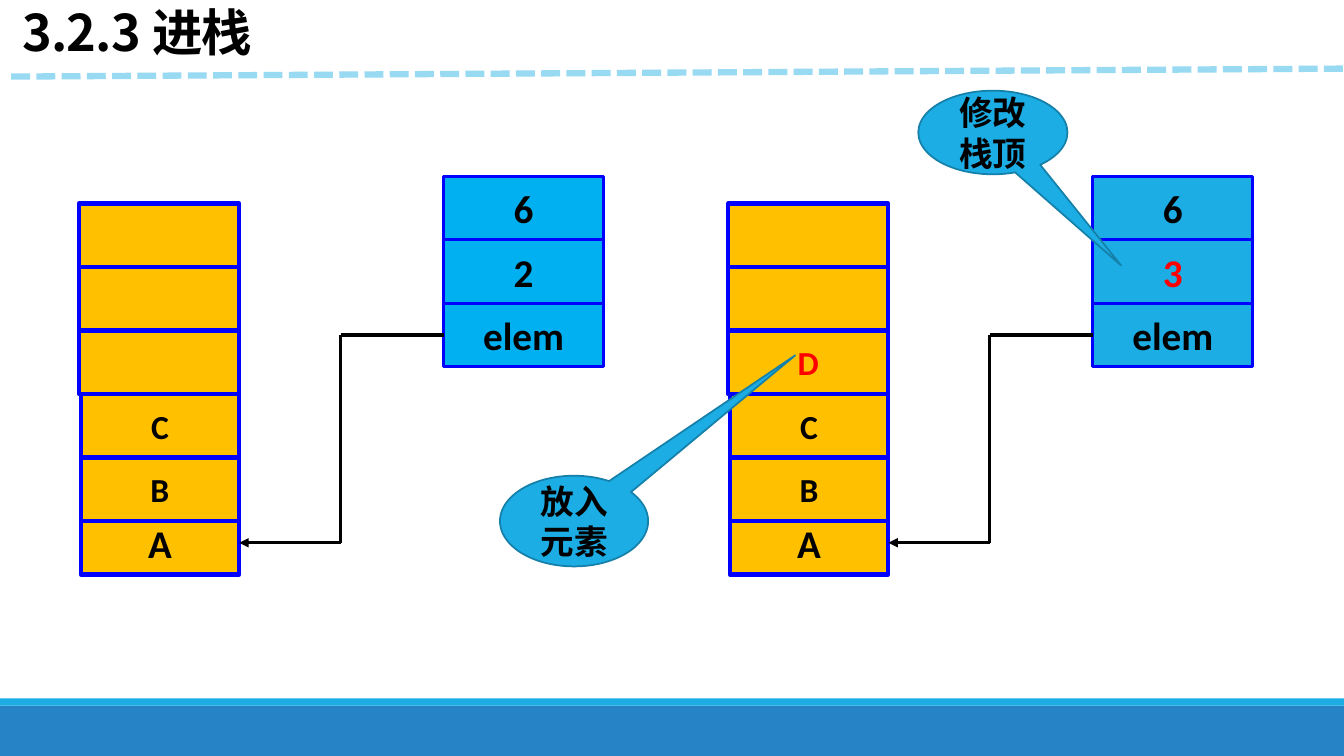
from lxml import etree
from pptx import Presentation
from pptx import util as u
from pptx.dml.color import RGBColor
from pptx.enum import dml, shapes, text
from pptx.oxml.ns import qn

COLORS = {
    "footer": "2683C6", "accent": "1CADE4", "dash": "99DAF3",
    "stack": "FFC000", "record": "00B0F0", "border": "0000FF",
    "callout_line": "1580A9", "ink": "000000", "changed": "FF0000",
}
COLUMNS, ROWS = 160, 90
CELL_WIDTH, CELL_HEIGHT = 19.08, 7.56


class StackPage:
    """Holds the style and the slide; lengths are grid columns and rows."""

    def __init__(self, deck):
        self.page = deck.slides.add_slide(deck.slide_layouts[6])
        self.column = deck.slide_width / COLUMNS
        self.row = deck.slide_height / ROWS

    def place(self, x, y):
        return round(x * self.column), round(y * self.row)

    def color(self, name):
        return RGBColor.from_string(COLORS[name])

    def label(self, box, lines, size, color="ink", font="Calibri",
              align=text.PP_ALIGN.CENTER):
        frame = box.text_frame
        frame.word_wrap = True
        frame.vertical_anchor = text.MSO_ANCHOR.MIDDLE
        frame.text = "\n".join(lines)
        for para in frame.paragraphs:
            para.alignment = align
            para.font.size = u.Pt(size)
            para.font.bold = True
            para.font.color.rgb = self.color(color)
            para.font.name = font
            props = para._p.pPr.find(qn("a:defRPr"))
            etree.SubElement(props, qn("a:ea")).set("typeface", font)
        return frame

    def title(self, words, x, y, width, height):
        box = self.page.shapes.add_textbox(*self.place(x, y), *self.place(width, height))
        frame = self.label(box, [words], 36, font="Noto Sans CJK SC",
                           align=text.PP_ALIGN.LEFT)
        frame.vertical_anchor = text.MSO_ANCHOR.BOTTOM
        frame.margin_left = u.Inches(0.22)
        para = frame.paragraphs[0]
        para.line_spacing = 0.85
        para._p.pPr.find(qn("a:defRPr")).set("spc", "-50")

    def shape(self, kind, x, y, width, height, fill, border=None, weight=0):
        box = self.page.shapes.add_shape(kind, *self.place(x, y), *self.place(width, height))
        box.shadow.inherit = False
        box.fill.solid()
        box.fill.fore_color.rgb = self.color(fill)
        if border:
            box.line.color.rgb = self.color(border)
            box.line.width = u.Pt(weight)
        else:
            box.line.fill.background()
        return box

    def rectangle(self, *args, **options):
        return self.shape(shapes.MSO_SHAPE.RECTANGLE, *args, **options)

    def callout(self, lines, x, y, width, height, tip):
        box = self.shape(shapes.MSO_SHAPE.OVAL_CALLOUT, x, y, width, height,
                         "accent", "callout_line", 1.25)
        box.adjustments[0], box.adjustments[1] = tip
        self.label(box, lines, 24)

    def line(self, start, end, color="ink", weight=2.25):
        link = self.page.shapes.add_connector(
            shapes.MSO_CONNECTOR.STRAIGHT, *self.place(*start), *self.place(*end))
        link.line.color.rgb = self.color(color)
        link.line.width = u.Pt(weight)
        etree.SubElement(link._element.spPr, qn("a:effectLst"))
        return link

    def stack(self, left, items):
        """Draw the cells from the bottom up and return the bottom one."""
        top, bottom_top = 24.24, 60.84
        cells = []
        for index in reversed(range(len(items))):
            filled = index >= 3
            inset = 0.2 if filled else 0
            is_bottom = index == len(items) - 1
            y = bottom_top if is_bottom else top + index * CELL_HEIGHT
            cell = self.rectangle(left + inset, y, CELL_WIDTH - inset, CELL_HEIGHT,
                                  "stack", "border", 3)
            if items[index]:
                self.label(cell, [items[index]], 28 if is_bottom else 24,
                           "ink" if filled else "changed")
            cells.append(cell)
        return cells[0]

    def record(self, left, size, top_index, fill, top_color):
        """Draw the stack's fields and return the element pointer."""
        fields = [(size, "ink"), (top_index, top_color), ("elem", "ink")]
        for index, (words, color) in enumerate(fields):
            cell = self.rectangle(left, 21 + index * CELL_HEIGHT, CELL_WIDTH,
                                  CELL_HEIGHT, fill, "border", 2.25)
            self.label(cell, [words], 28, color)
        return cell

    def pointer(self, source, target, elbow):
        """Link the pointer field to the bottom cell by three lines."""
        start_row = (source.top + source.height / 2) / self.row
        end_row = (target.top + target.height / 2) / self.row
        upper, lower = (elbow, start_row), (elbow, end_row)
        self.line(upper, upper, weight=3).begin_connect(source, 1)
        self.line(upper, lower)
        arrow = self.line(lower, lower)
        arrow.end_connect(target, 3)
        outline = arrow._element.spPr.find(qn("a:ln"))
        etree.SubElement(outline, qn("a:tailEnd")).set("type", "triangle")


def main():
    deck = Presentation()
    deck.slide_width, deck.slide_height = u.Inches(13.33), u.Inches(7.5)
    slide = StackPage(deck)

    # Footer bands, title and dashed rule
    slide.rectangle(0, 84, COLUMNS, 6, "footer")
    slide.rectangle(0, 83.16, COLUMNS, 0.84, "accent")
    rule = slide.line((1.32, 9.12), (161.4, 8.16), "dash", 4.5)
    rule.line.dash_style = dml.MSO_LINE.SQUARE_DOT
    slide.title("3.2.3 进栈", 0, 0, COLUMNS, 8)

    # Stack before and after the push
    states = [
        (0, ["", "", "", "C", "B", "A"], "2", "record", "ink"),
        (77.28, ["", "", "D", "C", "B", "A"], "3", "accent", "changed"),
    ]
    for shift, items, top_index, fill, top_color in states:
        bottom = slide.stack(9.4 + shift, items)
        elem = slide.record(52.8 + shift, "6", top_index, fill, top_color)
        slide.pointer(elem, bottom, 40.56 + shift)

    # Callouts for the two steps
    slide.callout(["修改", "栈顶"], 109.32, 10.8, 17.76, 9.96, (0.859, 1.588))
    slide.callout(["放入", "元素"], 59.52, 56.64, 17.64, 10.8, (1.492, -1.827))

    deck.save("out.pptx")


if __name__ == "__main__":
    main()
